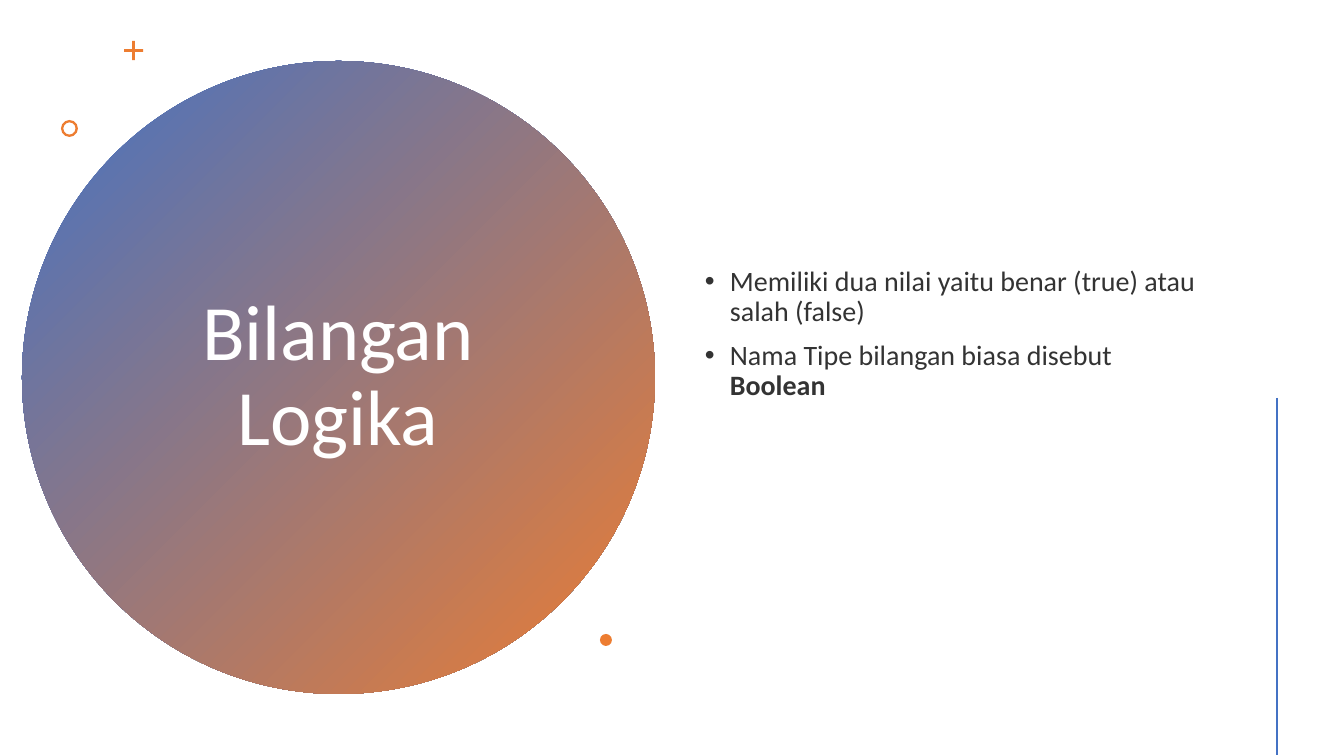
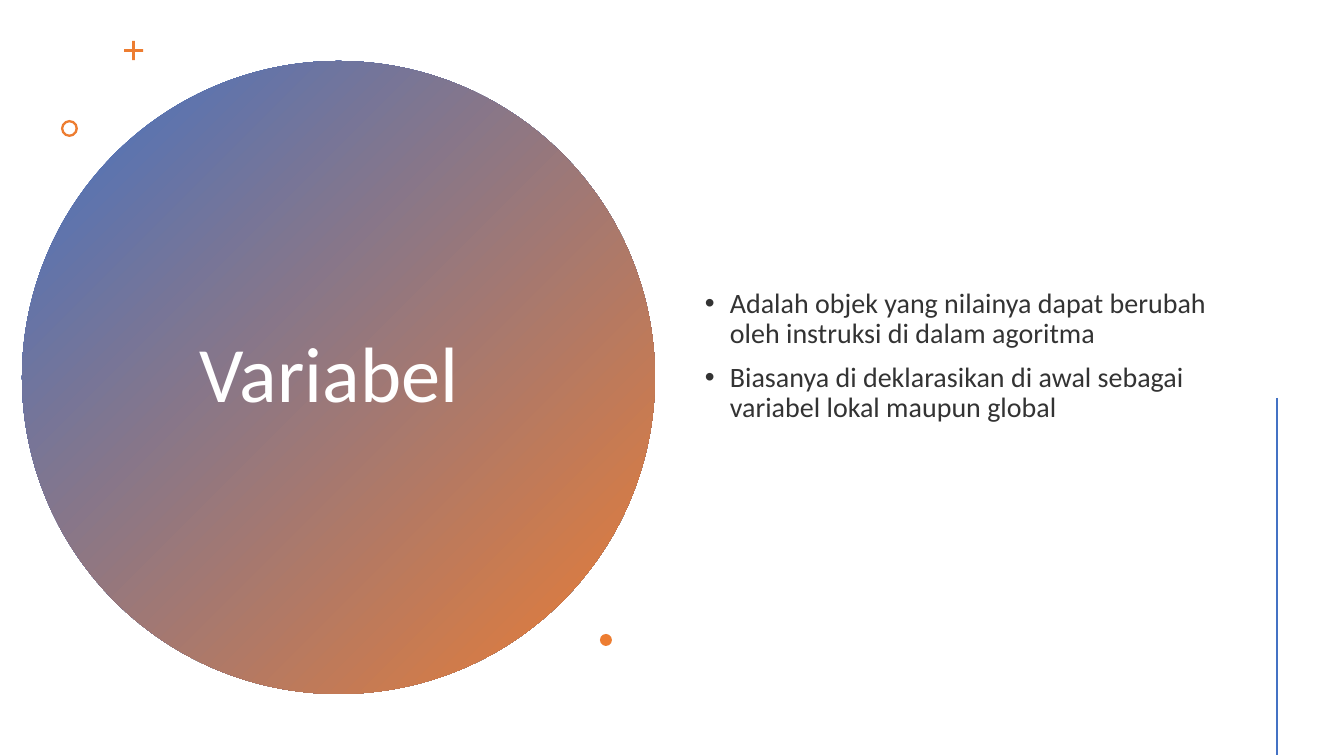
from lxml.etree import SubElement
from pptx import Presentation
from pptx.dml.color import RGBColor as RGB
from pptx.enum.shapes import MSO_CONNECTOR as Connector, MSO_SHAPE as Shape
from pptx.enum.text import MSO_ANCHOR as Anchor, MSO_AUTO_SIZE as AutoSize, PP_ALIGN as Align
from pptx.oxml.ns import qn
from pptx.util import Emu, Pt

SLIDES = [
    {
        "title": "Bilangan Logika",
        "bullets": [
            [("Memiliki dua nilai yaitu benar (true) atau salah (false)", False)],
            [("Nama Tipe bilangan biasa disebut ", False), ("Boolean", True)],
        ],
        "body_height": 555,
    },
    {
        "title": "Variabel ",
        "bullets": [
            [("Adalah objek yang nilainya dapat berubah oleh instruksi di dalam agoritma", False)],
            [("Biasanya di deklarasikan di awal sebagai variabel lokal maupun global", False)],
        ],
        "body_height": 599,
    },
]

COLORS = {"blue": "4472C4", "orange": "ED7D31", "white": "FFFFFF", "text": "333333"}
FONT = "Calibri"
SLIDE_SIZE = (1344, 756)
CIRCLE = (22, 61, 633, 633)
TITLE = (137, 142, 402, 471)
BODY_LEFT, BODY_TOP, BODY_WIDTH = 695, 57, 526
BULLET_INDENT = 25
ACCENT_LINE = (1277, 398, 1277, 755)
ORNAMENTS = [
    (Shape.CROSS, (124, 41, 19, 19), 0.43),
    (Shape.DONUT, (61, 120, 17, 17), 0.14),
    (Shape.OVAL, (600, 634, 12, 12), None),
]

TITLE_FONT = {"name": FONT, "size": Pt(56), "bold": False}
BODY_FONT = {"name": FONT, "size": Pt(20)}
FRAME = {"word_wrap": True, "auto_size": AutoSize.NONE, "vertical_anchor": Anchor.MIDDLE}
TITLE_PARA = {"alignment": Align.CENTER, "line_spacing": 0.9}
BODY_PARA = {"alignment": Align.LEFT, "line_spacing": 0.9, "space_before": Pt(10)}


def px(value):
    return Emu(round(value * 9144000 / 1008))


def color(name):
    return RGB.from_string(COLORS[name])


def apply(target, values):
    for name, value in values.items():
        setattr(target, name, value)


def add_span(para, text, font, color_name, **extra):
    span = para.add_run()
    span.text = text
    apply(span.font, {**font, **extra})
    span.font.color.rgb = color(color_name)


def add_plain_shape(page, kind, place):
    shape = page.shapes.add_shape(kind, *map(px, place))
    shape.shadow.inherit = False
    shape.line.fill.background()
    return shape


def add_circle(page):
    circle = add_plain_shape(page, Shape.OVAL, CIRCLE)
    circle.fill.gradient()
    circle.fill.gradient_angle = 315
    for stop, name in zip(circle.fill.gradient_stops, ("blue", "orange")):
        stop.color.rgb = color(name)
    page.shapes.title._element.addprevious(circle._element)


def add_ornaments(page):
    for kind, place, adjustment in ORNAMENTS:
        ornament = add_plain_shape(page, kind, place)
        ornament.fill.solid()
        ornament.fill.fore_color.rgb = color("orange")
        if adjustment is not None:
            ornament.adjustments[0] = adjustment


def add_accent_line(page):
    line = page.shapes.add_connector(Connector.STRAIGHT, *map(px, ACCENT_LINE))
    line.line.color.rgb = color("blue")
    line.line.width = Pt(2)
    SubElement(line._element.spPr, qn("a:effectLst"))


def fill_title(page, text):
    title = page.shapes.title
    apply(title, dict(zip(("left", "top", "width", "height"), map(px, TITLE))))
    apply(title.text_frame, FRAME)
    para = title.text_frame.paragraphs[0]
    apply(para, TITLE_PARA)
    add_span(para, text, TITLE_FONT, "white")


def set_bullet(para):
    properties = para._p.get_or_add_pPr()
    properties.set("marL", str(px(BULLET_INDENT)))
    properties.set("indent", str(-px(BULLET_INDENT)))
    SubElement(properties, qn("a:buFont"), typeface="Arial")
    SubElement(properties, qn("a:buChar"), char="•")


def add_body(page, bullets, height):
    box = page.shapes.add_textbox(*map(px, (BODY_LEFT, BODY_TOP, BODY_WIDTH, height)))
    frame = box.text_frame
    apply(frame, FRAME)
    for index, spans in enumerate(bullets):
        para = frame.add_paragraph() if index else frame.paragraphs[0]
        apply(para, BODY_PARA)
        set_bullet(para)
        for text, bold in spans:
            add_span(para, text, BODY_FONT, "text", bold=bold)


def main():
    deck = Presentation()
    deck.slide_width, deck.slide_height = map(px, SLIDE_SIZE)
    for content in SLIDES:
        page = deck.slides.add_slide(deck.slide_layouts[5])
        add_circle(page)
        fill_title(page, content["title"])
        add_body(page, content["bullets"], content["body_height"])
        add_ornaments(page)
        add_accent_line(page)
    deck.save("out.pptx")


if __name__ == "__main__":
    main()
